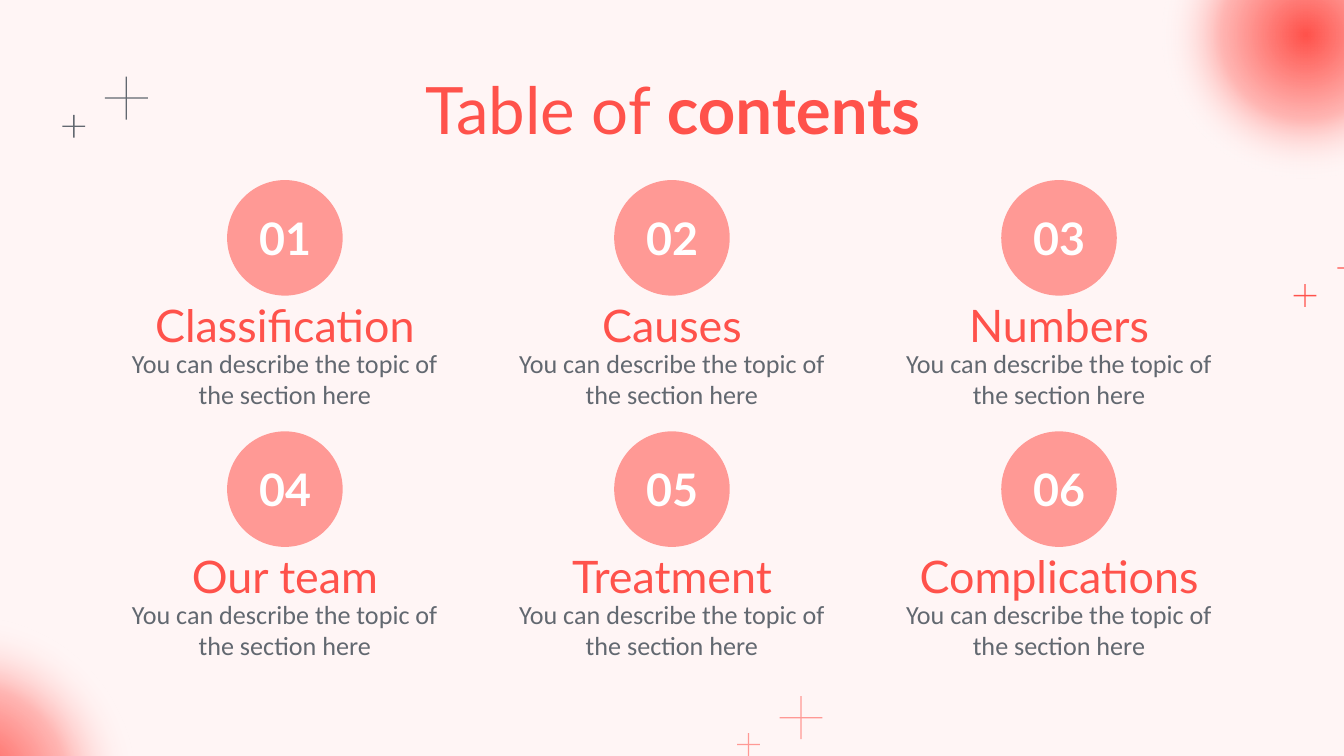
"""Build the table of contents slide with six numbered sections."""
from lxml import etree
from pptx import Presentation, util as u
from pptx.dml.color import RGBColor
from pptx.enum import shapes, text
from pptx.oxml.ns import nsdecls

RED, PINK, GREY, WHITE, PALE = "FF524B", "FF9995", "626870", "FFFFFF", "FFF5F5"
TITLE = [("Table of ", False), ("contents", True)]
SECTIONS = ["Classification", "Causes", "Numbers", "Our team", "Treatment", "Complications"]
DESCRIPTION = "You can describe the topic of the section here"
COLUMNS, LEFT, COLUMN_STEP, ROW_STEP = 3, 0.78, 2.88, 1.87
COLUMN_WIDTH, CIRCLE_SIZE, NUMBER_WIDTH = 2.68, 0.86, 1.39
GLOWS = [(-1.58, 4.5, 2.68), (8.57, -0.89, 2.29)]
GLOW_STOPS = [(0, RED, 100), (39, RED, 38), (66, WHITE, 0), (100, WHITE, 0)]
LARGE, SMALL = (0.32, 0.01), (0.17, 0.01)
CROSSES = [
    (0.94, 0.73, LARGE, GREY), (0.55, 0.94, SMALL, GREY),
    (9.71, 2.2, SMALL, RED),
    (5.96, 5.34, LARGE, PINK), (5.57, 5.54, SMALL, PINK),
]
CUT_DASH = (9.95, 1.99, 0.32, 0.01)


def color(value):
    return RGBColor.from_string(value)


def add_shape(slide, kind, box, fill=None):
    shape = slide.shapes.add_shape(kind, *map(u.Inches, box))
    shape.shadow.inherit = False
    shape.line.fill.background()
    if fill:
        shape.fill.solid()
        shape.fill.fore_color.rgb = color(fill)
    return shape


def add_glow(slide, left, top, size):
    shape = add_shape(slide, shapes.MSO_SHAPE.OVAL, (left, top, size, size))
    stops = "".join(
        f'<a:gs pos="{position * 1000}"><a:srgbClr val="{value}">'
        f'<a:alpha val="{alpha * 1000}"/></a:srgbClr></a:gs>'
        for position, value, alpha in GLOW_STOPS
    )
    gradient = etree.fromstring(
        f'<a:gradFill {nsdecls("a")} rotWithShape="1"><a:gsLst>{stops}</a:gsLst>'
        '<a:path path="circle"><a:fillToRect l="50000" t="50000" r="50000" b="50000"/>'
        "</a:path></a:gradFill>"
    )
    shape._element.spPr.insert(2, gradient)


def add_cross(slide, center_x, center_y, dimensions, fill):
    for width, height in (dimensions[::-1], dimensions):
        box = (center_x - width / 2, center_y - height / 2, width, height)
        add_shape(slide, shapes.MSO_SHAPE.RECTANGLE, box, fill)


def write(shape, runs, font, size, fill):
    frame = shape.text_frame
    frame.word_wrap = True
    frame.auto_size = text.MSO_AUTO_SIZE.NONE
    frame.vertical_anchor = text.MSO_ANCHOR.MIDDLE
    frame.margin_left = frame.margin_right = u.Inches(0.1)
    frame.margin_top = frame.margin_bottom = u.Inches(0.1)
    paragraph = frame.paragraphs[0]
    paragraph.alignment = text.PP_ALIGN.CENTER
    for words, bold in runs:
        run = paragraph.add_run()
        run.text = words
        run.font.name, run.font.size, run.font.bold = font, u.Pt(size), bold
        run.font.color.rgb = color(fill)


def add_text(slide, box, words, font, size, fill, bold=False):
    shape = slide.shapes.add_textbox(*map(u.Inches, box))
    write(shape, [(words, bold)], font, size, fill)


def add_section(slide, index, name):
    row, column = divmod(index, COLUMNS)
    left, down = LEFT + column * COLUMN_STEP, row * ROW_STEP
    center = left + COLUMN_WIDTH / 2
    circle = (center - CIRCLE_SIZE / 2, 1.34 + down, CIRCLE_SIZE, CIRCLE_SIZE)
    add_shape(slide, shapes.MSO_SHAPE.OVAL, circle, PINK)
    add_text(slide, (left, 2.17 + down, COLUMN_WIDTH, 0.49), name, "Lato", 24, RED)
    number = (center - NUMBER_WIDTH / 2, 1.44 + down, NUMBER_WIDTH, 0.65)
    add_text(slide, number, f"{index + 1:02}", "Lato", 24, WHITE, True)
    add_text(slide, (left, 2.55 + down, COLUMN_WIDTH, 0.53), DESCRIPTION, "Calibri", 14, GREY)


def main():
    presentation = Presentation()
    presentation.slide_width = u.Inches(10)
    presentation.slide_height = presentation.slide_width * 9 // 16
    slide = presentation.slides.add_slide(presentation.slide_layouts[5])
    slide.background.fill.solid()
    slide.background.fill.fore_color.rgb = color(PALE)
    title = slide.shapes.title
    title.left, title.top, title.width, title.height = map(u.Inches, (0.79, 0.49, 8.43, 0.63))
    write(title, TITLE, "Lato", 35, RED)
    for glow in GLOWS:
        add_glow(slide, *glow)
    for index, name in enumerate(SECTIONS):
        add_section(slide, index, name)
    for cross in CROSSES:
        add_cross(slide, *cross)
    add_shape(slide, shapes.MSO_SHAPE.RECTANGLE, CUT_DASH, RED)
    presentation.save("out.pptx")


if __name__ == "__main__":
    main()
